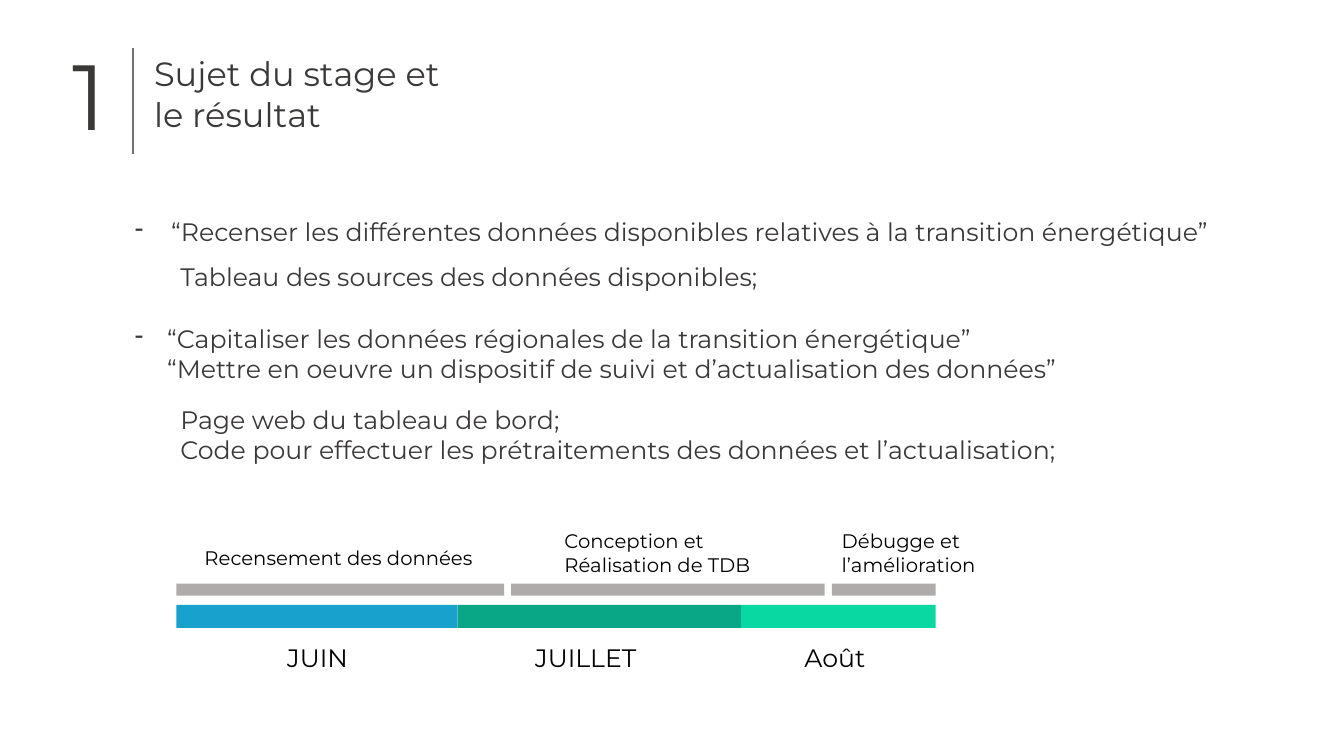
from itertools import pairwise

from lxml import etree
from pptx import Presentation
from pptx.dml.color import RGBColor
from pptx.enum.shapes import MSO_CONNECTOR, MSO_SHAPE
from pptx.oxml.ns import qn
from pptx.util import Inches, Pt

FONT = "Montserrat"
DARK = RGBColor(0x3B, 0x38, 0x38)
BLACK = RGBColor(0, 0, 0)
RULE = RGBColor(0x76, 0x71, 0x71)
GREY = RGBColor(0xAF, 0xAB, 0xAB)
BLUE = RGBColor(0x18, 0xA1, 0xCD)
TEAL = RGBColor(0x09, 0xA7, 0x85)
MINT = RGBColor(0x0A, 0xD8, 0xA2)

# (left, top, width, height), size, lines
HEADING = [
    ((1.43, 0.48, 3.17, 0.91), 24, ["Sujet du stage et le résultat"]),
    ((0.62, 0.33, 0.41, 1.21), 66, ["1"]),
]
RESULTS = [
    ((1.69, 2.54, 6.12, 0.4), 18, ["Tableau des sources des données disponibles;"]),
    ((1.69, 3.96, 9.39, 0.71), 18, [
        "Page web du tableau de bord;",
        "Code pour effectuer les prétraitements des données et l’actualisation;",
    ]),
]
# (left, top, width, height), text indent, lines; the first line has a dash
GOALS = [
    ((1.24, 2.1, 11.43, 0.4), 0.36, [
        "“Recenser les différentes données disponibles relatives à la transition énergétique”",
    ]),
    ((1.24, 3.16, 10.1, 0.71), 0.32, [
        "“Capitaliser les données régionales de la transition énergétique”",
        "“Mettre en oeuvre un dispositif de suivi et d’actualisation des données”",
    ]),
]

MONTH_EDGES = [1.75, 4.54, 7.35, 9.28]
MONTH_COLORS = [BLUE, TEAL, MINT]
# text, left, width
MONTHS = [("JUIN", 2.75, 0.81), ("JUILLET", 5.21, 1.32), ("Août", 7.88, 1.32)]

PHASE_EDGES = [1.75, 5.07, 8.25, 9.35]
PHASE_GAP = 0.07
# text, (left, top, width, height)
PHASES = [
    ("Recensement des données", (1.93, 5.37, 2.9, 0.34)),
    ("Conception et Réalisation de TDB", (5.5, 5.2, 2.07, 0.57)),
    ("Débugge et l’amélioration", (8.25, 5.2, 2.07, 0.57)),
]


def add_text(page, place, lines, size, color, indent=0):
    """Add a text box; with an indent, its first line gets a hanging dash."""
    frame = page.shapes.add_textbox(*map(Inches, place)).text_frame
    frame.word_wrap = True
    for index, line in enumerate(lines):
        para = frame.add_paragraph() if index else frame.paragraphs[0]
        para.text = line
        if indent:
            props = para._p.get_or_add_pPr()
            props.set("marL", str(Inches(indent)))
            if index == 0:
                props.set("indent", str(-Inches(indent)))
                etree.SubElement(props, qn("a:buChar")).set("char", "-")
        para.font.name = FONT
        para.font.size = Pt(size)
        para.font.color.rgb = color


def add_bar(page, left, top, width, height, color):
    place = map(Inches, (left, top, width, height))
    bar = page.shapes.add_shape(MSO_SHAPE.RECTANGLE, *place)
    bar.shadow.inherit = False
    bar.fill.solid()
    bar.fill.fore_color.rgb = color
    bar.line.fill.background()


def add_heading_rule(page):
    ends = map(Inches, (1.32, 0.48, 1.32, 1.53))
    rule = page.shapes.add_connector(MSO_CONNECTOR.STRAIGHT, *ends)
    rule.line.color.rgb = RULE
    rule.line.width = Pt(1.5)
    etree.SubElement(rule._element.spPr, qn("a:effectLst"))


def main():
    deck = Presentation()
    deck.slide_width, deck.slide_height = Inches(13.33), Inches(7.5)
    page = deck.slides.add_slide(deck.slide_layouts[6])

    add_heading_rule(page)
    for place, size, lines in HEADING + RESULTS:
        add_text(page, place, lines, size, DARK)
    for place, indent, lines in GOALS:
        add_text(page, place, lines, 18, DARK, indent)

    for (start, end), color in zip(pairwise(MONTH_EDGES), MONTH_COLORS):
        add_bar(page, start, 6, end - start, 0.23, color)
    for month, left, width in MONTHS:
        add_text(page, (left, 6.32, width, 0.4), [month], 18, BLACK)

    for start, end in pairwise(PHASE_EDGES):
        add_bar(page, start, 5.79, end - start - PHASE_GAP, 0.12, GREY)
    for phase, place in PHASES:
        add_text(page, place, [phase], 14, BLACK)

    deck.save("out.pptx")


if __name__ == "__main__":
    main()
